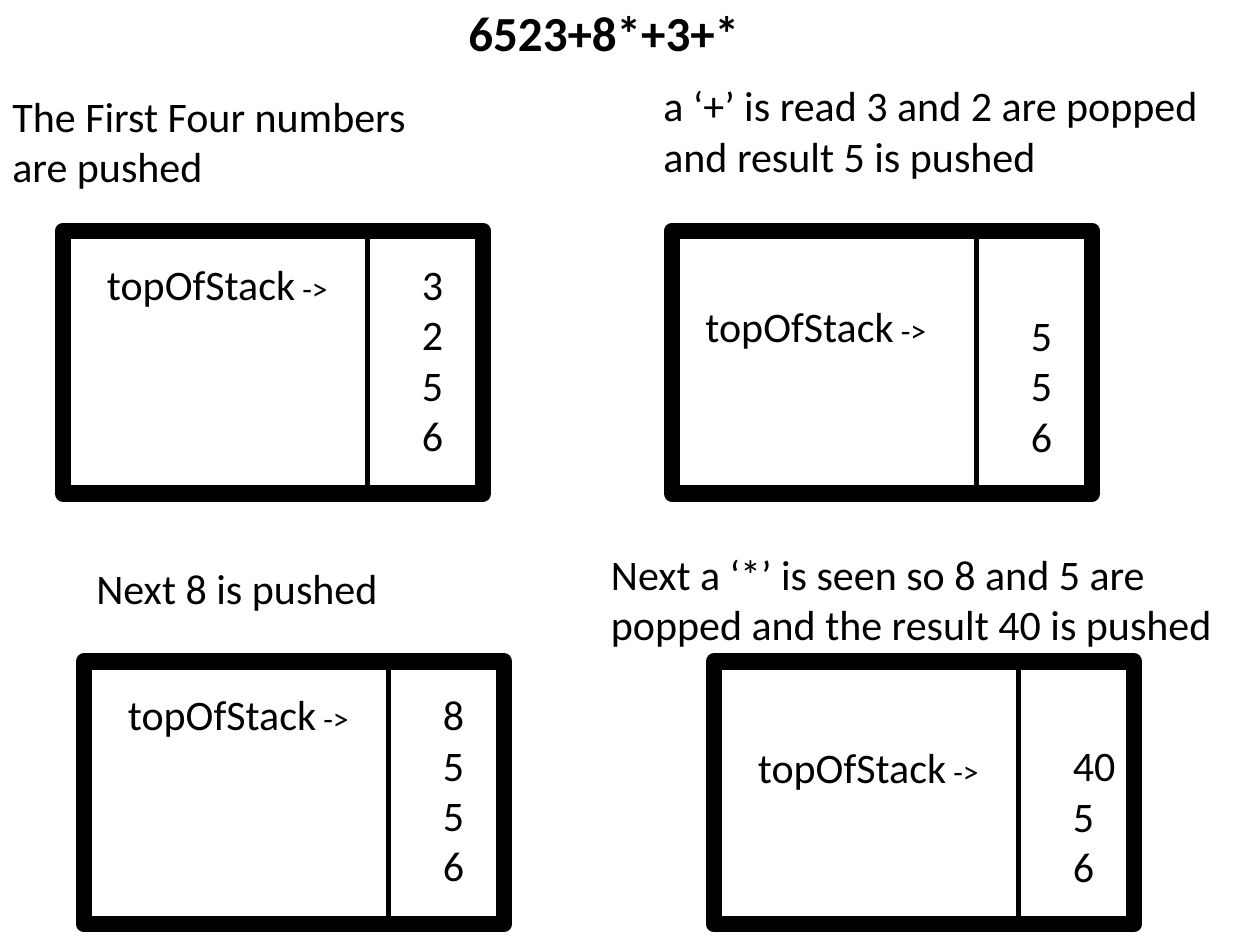
from pptx import Presentation
from pptx.dml.color import RGBColor
from pptx.enum import shapes, text
from pptx.oxml import parse_xml
from pptx.oxml.ns import nsdecls, qn
from pptx.util import Pt

BLACK = RGBColor(0, 0, 0)
WHITE = RGBColor(255, 255, 255)
FONT = "Calibri"
BOX_W, BOX_H = 240, 150
DIVIDER_X, VALUE_X = 174, 198
LINE_H, SLOTS = 29.3, 4


def add_text(parent, x, y, w, h, lines, wrap=False, bold=False):
    """Each line is a list of (words, size) runs."""
    tf = parent.add_textbox(Pt(x), Pt(y), Pt(w), Pt(h)).text_frame
    tf.word_wrap = wrap
    tf.auto_size = text.MSO_AUTO_SIZE.SHAPE_TO_FIT_TEXT
    for i, line in enumerate(lines):
        p = tf.add_paragraph() if i else tf.paragraphs[0]
        for words, size in line:
            r = p.add_run()
            r.text = words
            r.font.name, r.font.size = FONT, Pt(size)
            r.font.bold = bold
            r.font.color.rgb = BLACK


def add_stack(s, x, y, values, label_dx, label_dy):
    """One stack: frame, divider, values resting on the bottom, top label."""
    group = s.shapes.add_group_shape().shapes

    # Frame with rounded corners of the outline
    frame = group.add_shape(shapes.MSO_SHAPE.RECTANGLE,
                            Pt(x), Pt(y), Pt(BOX_W), Pt(BOX_H))
    frame.shadow.inherit = False
    frame.fill.solid()
    frame.fill.fore_color.rgb = WHITE
    frame.line.color.rgb = BLACK
    frame.line.width = Pt(9.5)
    frame.line._get_or_add_ln().append(
        parse_xml("<a:round %s/>" % nsdecls("a")))

    # Divider
    divider = group.add_connector(shapes.MSO_CONNECTOR.STRAIGHT,
                                  Pt(x + DIVIDER_X), Pt(y),
                                  Pt(x + DIVIDER_X), Pt(y + BOX_H))
    divider.line.color.rgb = BLACK
    divider.line.width = Pt(3.25)
    sp_pr = divider._element.find(qn("p:spPr"))
    sp_pr.append(parse_xml("<a:effectLst %s/>" % nsdecls("a")))

    # Values and label
    digits = max(len(v) for v in values)
    add_text(group, x + VALUE_X, y + 12 + (SLOTS - len(values)) * LINE_H,
             14.4 + 12.2 * digits, 7.2 + LINE_H * len(values),
             [[(v, 24)] for v in values])
    add_text(group, x + label_dx, y + label_dy, 146, 36,
             [[("topOfStack", 24), (" -> ", 18)]])


def add_caption(s, x, y, w, h, words, wrap=True):
    add_text(s.shapes, x, y, w, h, [[(words, 24)]], wrap)


prs = Presentation()
prs.slide_width, prs.slide_height = Pt(720), Pt(540)
s = prs.slides.add_slide(prs.slide_layouts[6])

# Stacks: left, top, values from the top down, label offset
for stack in (
    (36, 132, "3 2 5 6".split(), 18, 12),
    (384, 132, "5 5 6".split(), 12, 36),
    (48, 378, "8 5 5 6".split(), 18, 12),
    (408, 378, "40 5 6".split(), 18, 42),
):
    add_stack(s, *stack)

# Captions
add_caption(s, 372, 42, 324, 65.4,
            "a ‘+’ is read 3 and 2 are popped and result 5 is pushed")
add_caption(s, 48, 318, 176.4, 36, "Next 8 is pushed", wrap=False)
add_caption(s, 342, 309.6, 378, 65.4,
            "Next a ‘*’ is seen so 8 and 5 are popped "
            "and the result 40 is pushed")
add_caption(s, 0, 48, 264, 65.4, "The First Four numbers are pushed")

# Title
add_text(s.shapes, 260.6, -2, 171.4, 41, [[("6523+8*+3+*", 28)]], bold=True)

prs.save("out.pptx")
